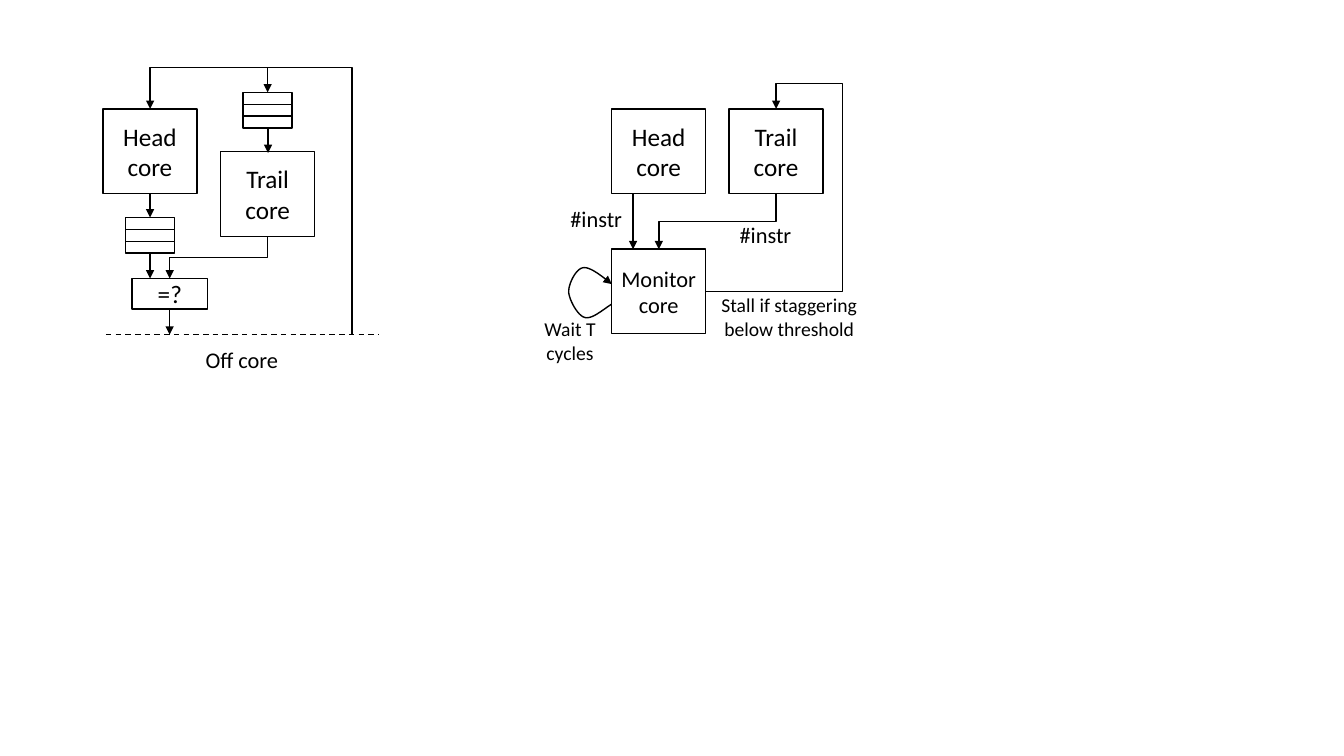
from dataclasses import dataclass
from math import cos, radians, sin

from lxml.etree import SubElement
from pptx import Presentation
from pptx.dml.color import RGBColor
from pptx.enum.dml import MSO_LINE
from pptx.enum.shapes import MSO_CONNECTOR, MSO_SHAPE
from pptx.enum.text import MSO_ANCHOR, MSO_AUTO_SIZE, PP_ALIGN
from pptx.oxml.ns import qn
from pptx.util import Pt

INK = "000000"
Point = tuple[float, float]


@dataclass
class Block:
    label: str
    left: float
    top: float
    width: float = 67.2
    height: float = 60.5
    size: float = 18


@dataclass
class Caption:
    words: str
    left: float
    top: float
    width: float
    height: float = 26.6
    size: float = 16


@dataclass
class Straight:
    start: Point
    end: Point


@dataclass
class Elbow:
    start: Point
    end: Point
    turn: int
    preset: str = "bentConnector3"
    bends: tuple[int, ...] = ()


def color(value: str) -> RGBColor:
    return RGBColor.from_string(value)


def style_line(item, arrow: bool = False) -> None:
    item.line.color.rgb = color(INK)
    item.line.width = Pt(1)
    if arrow:
        SubElement(item.line._get_or_add_ln(), qn("a:tailEnd"), type="triangle")


def write(frame, text: str, *, size: float, anchor=MSO_ANCHOR.MIDDLE,
          side: float = 7.2, fit=MSO_AUTO_SIZE.NONE, ink: str = INK) -> None:
    frame.word_wrap = True
    frame.auto_size = fit
    frame.vertical_anchor = anchor
    frame.margin_left = frame.margin_right = Pt(side)
    paragraph = frame.paragraphs[0]
    paragraph.alignment = PP_ALIGN.CENTER
    run = paragraph.add_run()
    run.text = text
    run.font.name = "Calibri"
    run.font.size = Pt(size)
    run.font.color.rgb = color(ink)


def draw_block(block: Block) -> None:
    box = slide.shapes.add_shape(MSO_SHAPE.RECTANGLE, Pt(block.left), Pt(block.top),
                                 Pt(block.width), Pt(block.height))
    box.shadow.inherit = False
    box.fill.background()
    style_line(box)
    if block.label:
        write(box.text_frame, block.label, size=block.size, side=5.5)


def draw_queue(left: float, top: float) -> None:
    for slot in range(3):
        draw_block(Block("", left, top + slot * SLOT, 35, SLOT))


def draw_caption(caption: Caption) -> None:
    box = slide.shapes.add_textbox(Pt(caption.left), Pt(caption.top),
                                   Pt(caption.width), Pt(caption.height))
    write(box.text_frame, caption.words, size=caption.size, anchor=MSO_ANCHOR.TOP,
          fit=MSO_AUTO_SIZE.SHAPE_TO_FIT_TEXT)


def connect(kind, start: Point, end: Point, arrow: bool = True):
    link = slide.shapes.add_connector(kind, *map(Pt, start + end))
    style_line(link, arrow)
    SubElement(link._element.spPr, qn("a:effectLst"))
    return link


def draw_elbow(elbow: Elbow) -> None:
    (x1, y1), (x2, y2) = elbow.start, elbow.end
    dx, dy, angle = x2 - x1, y2 - y1, radians(elbow.turn)
    along = (dx * cos(angle) + dy * sin(angle)) / 2
    across = (dy * cos(angle) - dx * sin(angle)) / 2
    x, y = (x1 + x2) / 2, (y1 + y2) / 2
    link = connect(MSO_CONNECTOR.ELBOW, (x - along, y - across), (x + along, y + across))
    properties = link._element.spPr
    properties.find(qn("a:xfrm")).set("rot", str(elbow.turn * 60000))
    geometry = properties.find(qn("a:prstGeom"))
    geometry.set("prst", elbow.preset)
    guides = geometry.find(qn("a:avLst"))
    if guides is None:
        guides = SubElement(geometry, qn("a:avLst"))
    for number, bend in enumerate(elbow.bends, 1):
        SubElement(guides, qn("a:gd"), name=f"adj{number}", fmla=f"val {bend}")


def bezier(points: list[Point], t: float) -> Point:
    while len(points) > 1:
        points = [(a + (c - a) * t, b + (d - b) * t)
                  for (a, b), (c, d) in zip(points, points[1:])]
    return points[0]


def draw_loop(points: list[Point], steps: int = 12) -> None:
    fine = [(x * 100, y * 100) for x, y in points]
    trail = [bezier(fine[first:first + 4], step / steps)
             for first in range(0, len(fine) - 1, 3) for step in range(1, steps + 1)]
    builder = slide.shapes.build_freeform(*fine[0], scale=Pt(0.01))
    builder.add_line_segments(trail, close=False)
    loop = builder.convert_to_shape()
    loop.shadow.inherit = False
    loop.fill.background()
    style_line(loop, arrow=True)


SLOT = 8.5
CORE_TOP, OFF_CORE, BUS = 77.8, 239, 48.2
HEAD_X, TRAIL_X, CHECK_X = 107.2, 191.2, 121.2
MONITOR_LEFT, MONITOR_TOP, STALLED_X = 436.9, 178, 554.4

BLOCKS = [
    Block("Head core", 73.5, CORE_TOP),
    Block("Trail core", 157.6, 108.3),
    Block("=?", 94.3, 198.9, 54, 21.9),
    Block("Head core", MONITOR_LEFT, CORE_TOP),
    Block("Trail core", 520.7, CORE_TOP),
    Block("Monitor core", MONITOR_LEFT, MONITOR_TOP, size=16),
]
QUEUES = [(89.8, 155.4), (173.7, 66)]
STRAIGHTS = [
    Straight((HEAD_X, 138.3), (HEAD_X, 155.4)),
    Straight((HEAD_X, 180.9), (HEAD_X, 198.9)),
    Straight((CHECK_X, 220.8), (CHECK_X, OFF_CORE)),
    Straight((191.5, 91.5), (191.5, 109.3)),
    Straight((452.2, 138.3), (452.2, MONITOR_TOP)),
]
ELBOWS = [
    Elbow((TRAIL_X, 168.8), (CHECK_X, 198.9), 90),
    Elbow((251.4, OFF_CORE), (TRAIL_X, 66), 270, bends=(110300,)),
    Elbow((TRAIL_X, BUS), (HEAD_X, CORE_TOP), 180, "bentConnector2"),
    Elbow((STALLED_X, 138.3), (470.6, MONITOR_TOP), 90, bends=(50000,)),
    Elbow((504.1, 208.2), (STALLED_X, CORE_TOP), 0, "bentConnector4", (194000, 113800)),
]
CAPTIONS = [
    Caption("Off core", 130.2, 243.4, 85),
    Caption("#instr", 398.2, 143.3, 55.4),
    Caption("#instr", 519.1, 154.4, 55.4),
    Caption("Stall if staggering below threshold", 504, 205.9, 119.5, 41, 14),
    Caption("Wait T cycles", 373.7, 223, 67, 41, 14),
]
WAIT_LOOP = [
    (436.5, 217.5), (429, 222.5), (422.6, 228.2), (417.6, 226.8),
    (412.6, 225.4), (406.8, 214.6), (406.2, 208.8),
    (406, 203), (411, 192.5), (416.2, 191.3),
    (421, 190.2), (429, 196.5), (437, 203),
]

deck = Presentation()
deck.slide_width, deck.slide_height = Pt(960), Pt(540)
slide = deck.slides.add_slide(deck.slide_layouts[6])

for block in BLOCKS:
    draw_block(block)
for left, top in QUEUES:
    draw_queue(left, top)
for straight in STRAIGHTS:
    connect(MSO_CONNECTOR.STRAIGHT, straight.start, straight.end)
boundary = connect(MSO_CONNECTOR.STRAIGHT, (75.6, OFF_CORE), (270.7, OFF_CORE), False)
boundary.line.dash_style = MSO_LINE.DASH
for elbow in ELBOWS:
    draw_elbow(elbow)
draw_loop(WAIT_LOOP)
for caption in CAPTIONS:
    draw_caption(caption)

deck.save("out.pptx")
